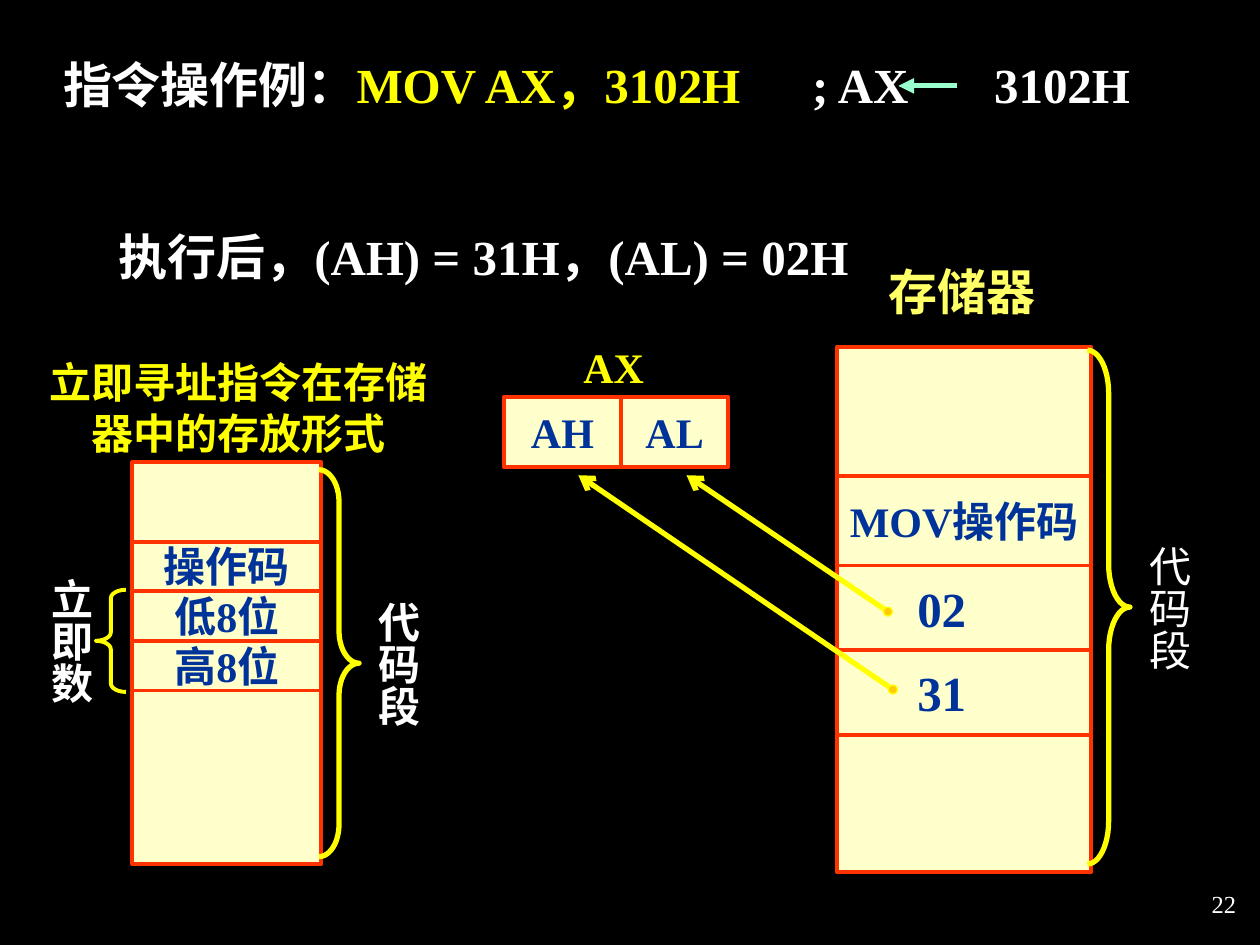
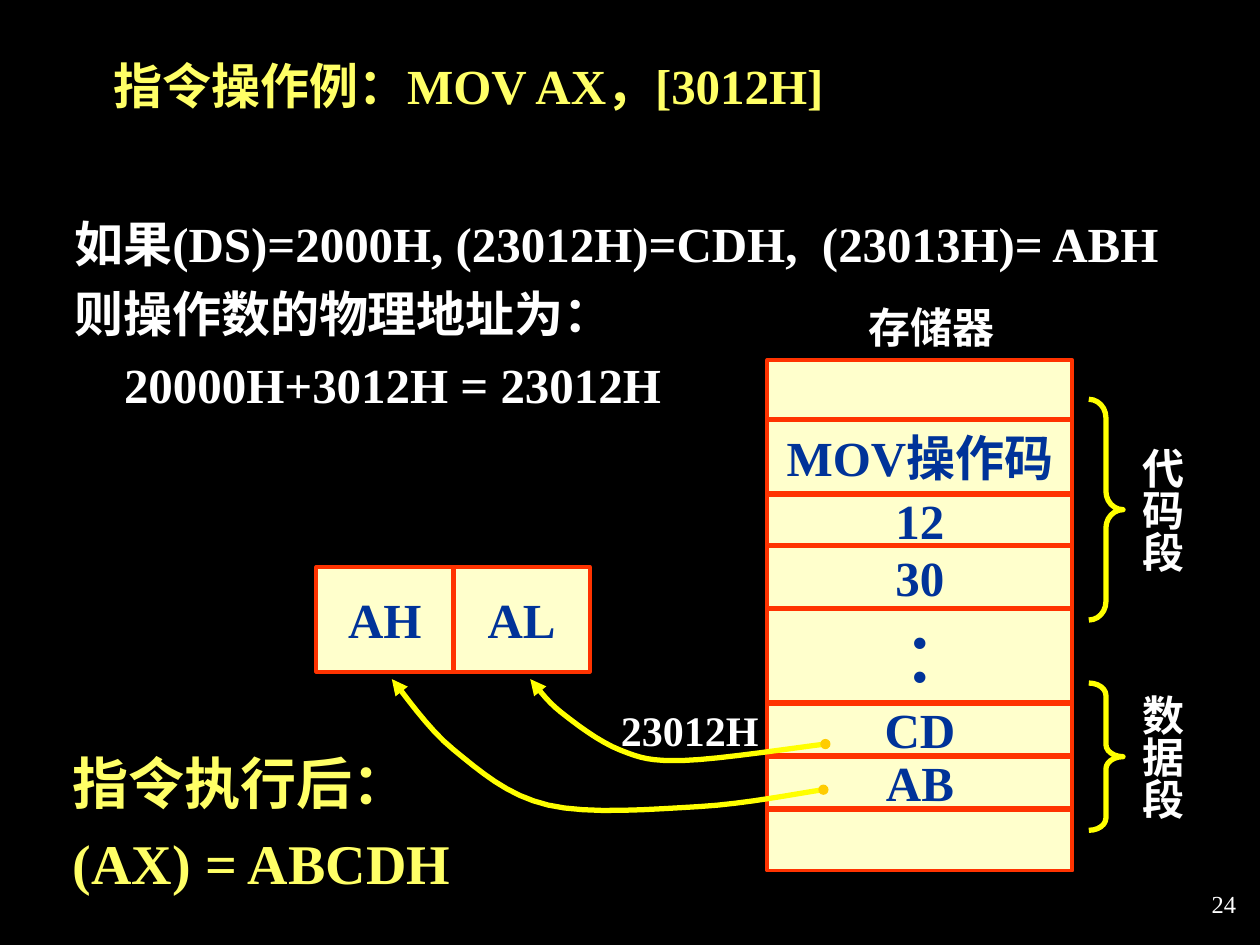
from pptx import Presentation
from pptx.dml.color import RGBColor
from pptx.enum.shapes import MSO_CONNECTOR, MSO_SHAPE
from pptx.enum.text import MSO_ANCHOR, MSO_AUTO_SIZE, PP_ALIGN
from pptx.oxml.ns import qn
from pptx.util import Cm, Pt
from lxml.etree import SubElement

FONT = "Times New Roman"
BLACK, WHITE, CREAM = "000000", "FFFFFF", "FFFFCC"
RED, NAVY, MINT = "FF3300", "003399", "99FFCC"
YELLOW, LEMON, GOLD = "FFFF00", "FFFF66", "FFCC00"
LEFT, MID, RIGHT = PP_ALIGN.LEFT, PP_ALIGN.CENTER, PP_ALIGN.RIGHT
THIN, THICK = 2.25, 3
DOTS = [".", "."]
BIG = {"size": 28}
PALE = {"color": WHITE}

# Content: lengths in cm, boxes as (left, top, width, height).
# A memory row is its top edge, its text and the format of that text.
SLIDES = [
    {
        "number": "22",
        "title": [[("指令操作例：", WHITE), ("MOV AX，3102H", YELLOW),
                   ("\t; AX\t3102H", WHITE)]],
        "title at": (1.27, 1.09, 22.4),
        "tabs": (15.1, 18.77),
        "body": ["执行后，(AH) = 31H，(AL) = 02H"],
        "body at": (2.39, 4.56, 20),
        "lead": 1.0,
        "rule": THIN,
        "memory": [
            ((2.67, 9.32, 3.81, 8.1),
             [(10.92, "操作码", {}), (11.91, "低8位", {}),
              (12.92, "高8位", {}), (13.92, "", {})]),
            ((16.87, 6.99, 5.13, 10.59),
             [(9.6, "MOV操作码", {}), (11.4, "02", {"size": 28, "shift": -0.45}),
              (13.11, "31", {"size": 28, "shift": -0.45}), (14.81, "", {})]),
        ],
        "register": ((10.16, 8, 4.52, 1.42), 12.52, {}),
        "braces": [
            ("立即数", MSO_SHAPE.LEFT_BRACE, (1.93, 11.89, 0.61, 2.06), THIN, PALE),
            ("代码段", MSO_SHAPE.RIGHT_BRACE, (6.43, 9.47, 0.81, 7.8), THICK, PALE),
            ("代码段", MSO_SHAPE.RIGHT_BRACE, (21.92, 7.06, 0.86, 10.36), THICK,
             {"color": WHITE, "bold": False}),
        ],
        "labels": [
            ("立即寻址指令在存储器中的存放形式", (0.94, 7.19, 7.75),
             {"color": YELLOW, "align": MID}),
            ("存储器", (17.91, 5.28, 3.38), {"size": 28, "color": LEMON}),
            ("AX", (11.76, 6.88, 1.42), {"color": YELLOW}),
        ],
        "arrows": [((19.3, 1.73), (18.11, 1.73), MINT, "triangle"),
                   ((18, 13.9), (11.66, 9.58), YELLOW, "arrow"),
                   ((17.9, 12.33), (13.84, 9.58), YELLOW, "arrow")],
        "curves": [],
    },
    {
        "number": "24",
        "title": [[("指令操作例：MOV AX，[3012H]", LEMON)]],
        "title at": (2.29, 1.12, 15.6),
        "tabs": (),
        "body": ["如果(DS)=2000H, (23012H)=CDH,  (23013H)= ABH",
                 "则操作数的物理地址为：",
                 "20000H+3012H = 23012H"],
        "body at": (1.5, 4.06, 22.2),
        "lead": 1.2,
        "rule": THICK,
        "memory": [
            ((15.47, 7.26, 6.15, 10.29),
             [(8.46, "MOV操作码", BIG), (9.96, "12", BIG), (11, "30", BIG),
              (12.27, DOTS, {"size": 40, "lead": 0.4}),
              (14.17, "CD", BIG), (15.24, "AB", BIG), (16.31, "", {})]),
        ],
        "register": ((6.38, 11.43, 5.51, 2.11), None, BIG),
        "braces": [
            ("代码段", MSO_SHAPE.RIGHT_BRACE, (21.95, 8.05, 0.69, 4.45), THICK, PALE),
            ("数据段", MSO_SHAPE.RIGHT_BRACE, (21.95, 13.77, 0.69, 2.97), THICK, PALE),
        ],
        "labels": [
            ("存储器", (17.5, 6.07, 2.79), PALE),
            ("23012H", (11.91, 14.2, 3.38), {"color": WHITE, "align": RIGHT}),
            (["指令执行后：", "(AX) = ABCDH"], (1.47, 14.81, 11.86),
             {"size": 32, "color": LEMON, "lead": 1.2}),
        ],
        "arrows": [],
        # Points that each smooth arrow runs through, tip first
        "curves": [
            [(10.69, 13.69), (11.3, 14.35), (12.5, 15.12), (13.8, 15.33),
             (16.64, 15)],
            [(7.9, 13.69), (9.14, 15.11), (11.05, 16.23), (14.1, 16.26),
             (16.6, 15.92)],
        ],
    },
]


def rgb(code):
    return RGBColor.from_string(code)


def cms(vals):
    return [Cm(v) for v in vals]


# Text
def tall(text, size=24, lead=1.0):
    count = 1 if isinstance(text, str) else len(text)
    return 0.0425 * size * lead * count


def write(frame, text, size=24, color=NAVY, bold=True, align=LEFT, lead=1.0,
          upright=False, anchor=MSO_ANCHOR.TOP,
          fit=MSO_AUTO_SIZE.SHAPE_TO_FIT_TEXT):
    frame.margin_left = frame.margin_right = 0
    frame.margin_top = frame.margin_bottom = 0
    frame.word_wrap, frame.auto_size = True, fit
    frame.vertical_anchor = anchor
    if upright:
        frame._txBody.bodyPr.set("vert", "eaVert")
    for i, row in enumerate([text] if isinstance(text, str) else text):
        para = frame.paragraphs[0] if i == 0 else frame.add_paragraph()
        para.alignment, para.line_spacing = align, lead
        para.space_before = Pt(0)
        for part, tint in [(row, color)] if isinstance(row, str) else row:
            run = para.add_run()
            run.text = part
            run.font.name, run.font.size = FONT, Pt(size)
            run.font.bold, run.font.color.rgb = bold, rgb(tint)


def label(slide, text, spot, high=None, **form):
    high = high or tall(text, form.get("size", 24), form.get("lead", 1.0))
    box = slide.shapes.add_textbox(*cms((*spot, high)))
    write(box.text_frame, text, **form)


def centre(slide, text, left, wide, mid, shift=0, **form):
    high = tall(text, form.get("size", 24), form.get("lead", 1.0))
    label(slide, text, (left + shift, mid - high / 2, wide), align=MID, **form)


def fill(holder, text, spot, **form):
    high = tall(text, 28, form.get("lead", 1.0))
    holder.left, holder.top, holder.width, holder.height = cms((*spot, high))
    write(holder.text_frame, text, size=28, fit=MSO_AUTO_SIZE.NONE, **form)
    return holder.text_frame.paragraphs


def heading(slide, data):
    paras = fill(slide.shapes.title, data["title"], data["title at"])
    if data["tabs"]:
        stops = SubElement(paras[0]._p.get_or_add_pPr(), qn("a:tabLst"))
        for stop in data["tabs"]:
            SubElement(stops, qn("a:tab"), pos=str(Cm(stop)), algn="l")


def body(slide, data):
    paras = fill(slide.placeholders[1], data["body"], data["body at"],
                 color=WHITE, lead=data["lead"])
    for i, para in enumerate(paras):
        props = para._p.get_or_add_pPr()
        props.set("marL", str(Cm(1) if i == 2 else 0))
        props.set("indent", "0")
        SubElement(props, qn("a:buNone"))


# Shapes and lines
def stroke(item, color, width, **ends):
    item.line.color.rgb, item.line.width = rgb(color), Pt(width)
    for end, kind in ends.items():
        SubElement(item.line._get_or_add_ln(), qn(f"a:{end}End"), type=kind)


def shape(slide, kind, box, tint, color, width):
    item = slide.shapes.add_shape(kind, *cms(box))
    item.shadow.inherit = False
    if tint:
        item.fill.solid()
        item.fill.fore_color.rgb = rgb(tint)
    else:
        item.fill.background()
    stroke(item, color, width)
    return item


def line(slide, start, end, color, width, **ends):
    item = slide.shapes.add_connector(MSO_CONNECTOR.STRAIGHT, *cms(start + end))
    stroke(item, color, width, **ends)
    SubElement(item._element.spPr, qn("a:effectLst"))
    return item


def dot(slide, spot, edge, wide=0.18):
    box = (spot[0] - wide / 2, spot[1] - wide / 2, wide, wide)
    shape(slide, MSO_SHAPE.OVAL, box, GOLD, edge, 0.75)


def memory(slide, box, rows, width):
    left, top, wide, high = box
    shape(slide, MSO_SHAPE.RECTANGLE, box, CREAM, RED, THIN)
    ends = [row[0] for row in rows[1:]] + [top + high]
    for (y, text, form), end in zip(rows, ends):
        line(slide, (left, y), (left + wide, y), RED, width)
        if text:
            centre(slide, text, left, wide, (y + end) / 2, **form)


def register(slide, box, split, form, width):
    left, top, wide, high = box
    rect = shape(slide, MSO_SHAPE.RECTANGLE, box, CREAM, RED, THIN)
    x = split or left + wide / 2
    bar = line(slide, (x, top), (x, top + high), RED, width)
    if split is None:
        bar.begin_connect(rect, 0)
        bar.end_connect(rect, 2)
    for text, start, end in (("AH", left, x), ("AL", x, left + wide)):
        centre(slide, text, start, end - start, top + high / 2, **form)


def brace(slide, text, kind, box, width, form):
    left, top, wide, high = box
    item = shape(slide, kind, box, None, YELLOW, width)
    item.adjustments[0] = high / 12 / wide  # each bend is 1/12 of the height
    x = left - 1 if kind == MSO_SHAPE.LEFT_BRACE else left + wide + 0.27
    label(slide, text, (x, top + high / 2 - 1.25, tall(text)), high=3,
          upright=True, **form)


def curve(slide, spots, steps=8):
    """Draw a Catmull-Rom line through the spots."""
    chain = [spots[0], *spots, spots[-1]]
    path = []
    for a, b, c, d in zip(chain, chain[1:], chain[2:], chain[3:]):
        for k in range(1, steps + 1):
            t = k / steps
            path.append([Cm(q + t / 2 * (r - p + t * (
                2 * p - 5 * q + 4 * r - s + t * (3 * (q - r) + s - p))))
                for p, q, r, s in zip(a, b, c, d)])
    pen = slide.shapes.build_freeform(*cms(spots[0]))
    pen.add_line_segments(path, close=False)
    item = pen.convert_to_shape()
    item.shadow.inherit = False
    item.fill.background()
    stroke(item, YELLOW, THICK, head="triangle")
    dot(slide, spots[-1], GOLD)


def build(deck, data):
    slide = deck.slides.add_slide(deck.slide_layouts[1])
    heading(slide, data)
    body(slide, data)
    for block in data["memory"]:
        memory(slide, *block, data["rule"])
    register(slide, *data["register"], data["rule"])
    for item in data["braces"]:
        brace(slide, *item)
    for text, spot, form in data["labels"]:
        label(slide, text, spot, **form)
    for start, end, color, tip in data["arrows"]:
        line(slide, start, end, color, THICK, tail=tip)
        if color == YELLOW:
            dot(slide, start, YELLOW)
    for spots in data["curves"]:
        curve(slide, spots)
    # Page number
    label(slide, data["number"], (19.89, 17.58, 5.03), high=1.27, size=14,
          color=WHITE, bold=False, align=RIGHT, anchor=MSO_ANCHOR.MIDDLE,
          fit=MSO_AUTO_SIZE.NONE)


def main():
    deck = Presentation()
    deck.slide_width, deck.slide_height = Cm(25.4), Cm(19.05)
    back = deck.slide_master.background.fill
    back.solid()
    back.fore_color.rgb = rgb(BLACK)
    for data in SLIDES:
        build(deck, data)
    deck.save("out.pptx")


if __name__ == "__main__":
    main()
